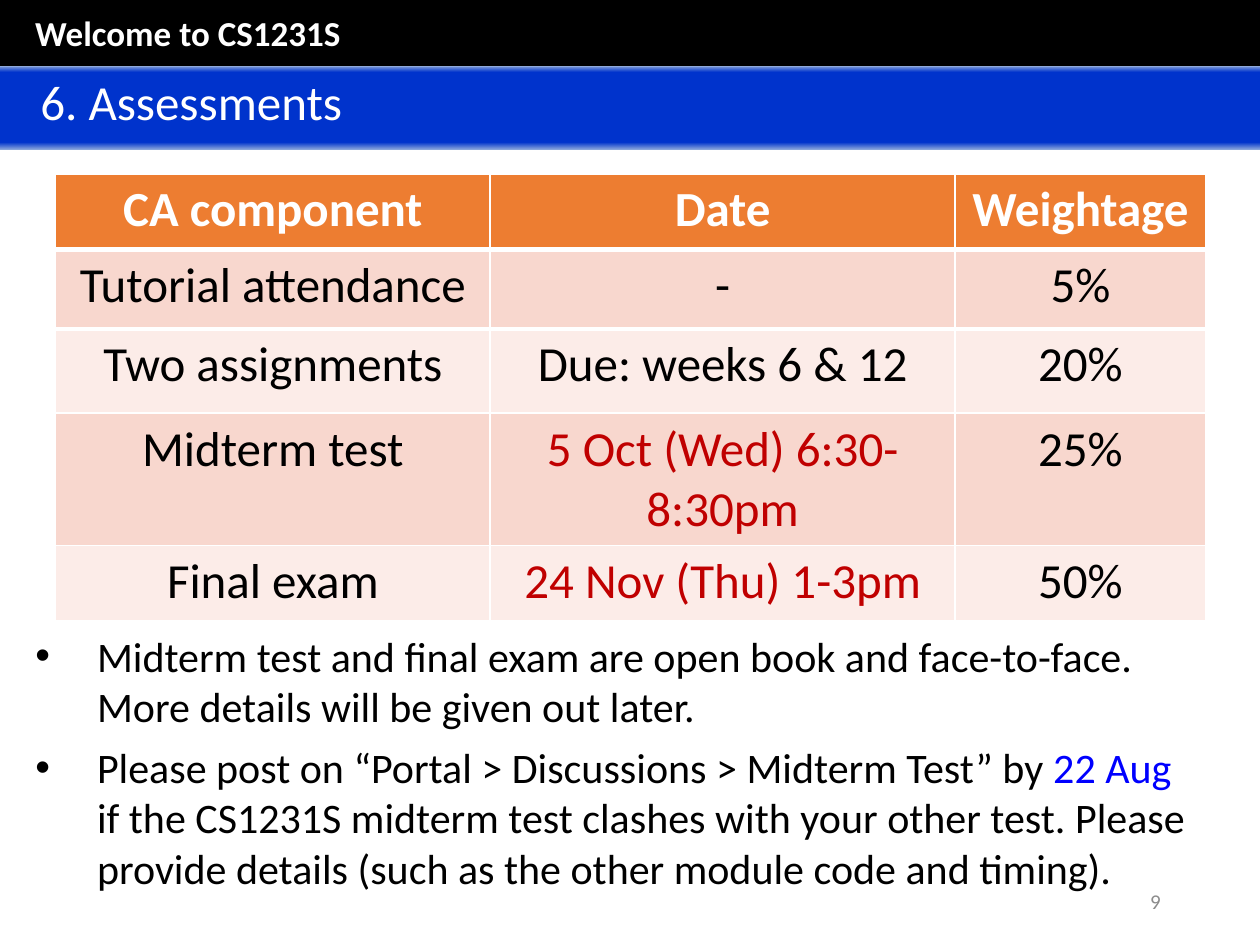
from lxml import etree
from pptx import Presentation
from pptx.dml.color import RGBColor
from pptx.enum.shapes import MSO_SHAPE
from pptx.enum.text import MSO_ANCHOR, MSO_AUTO_SIZE, PP_ALIGN
from pptx.oxml.ns import qn
from pptx.util import Inches, Pt

RECTANGLE = MSO_SHAPE.RECTANGLE
LEFT, CENTER, RIGHT = PP_ALIGN.LEFT, PP_ALIGN.CENTER, PP_ALIGN.RIGHT
TOP, MIDDLE = MSO_ANCHOR.TOP, MSO_ANCHOR.MIDDLE
NO_AUTOFIT = MSO_AUTO_SIZE.NONE

COLORS = {
    "black": "000000", "white": "FFFFFF", "gray": "8C8C8C",
    "band": "0033CC", "band_edge": "8FAADC", "header": "ED7D31",
    "row_dark": "F8D7CE", "row_light": "FCECE8",
    "exam_date": "C00000", "deadline": "0000FF",
}
BAND_STOPS = [(0, "band_edge"), (9, "band"), (92, "band"), (100, "band_edge")]
ASSESSMENTS = [
    ("CA component", "Date", "Weightage"),
    ("Tutorial attendance", "-", "5%"),
    ("Two assignments", "Due: weeks 6 & 12", "20%"),
    ("Midterm test", "5 Oct (Wed) 6:30-8:30pm", "25%"),
    ("Final exam", "24 Nov (Thu) 1-3pm", "50%"),
]
EXAM_ROWS = (3, 4)
NOTES = [
    [("Midterm test and final exam are open book and face-to-face. "
      "More details will be given out later.", "black")],
    [("Please post on “Portal > Discussions > Midterm Test” by ", "black"),
     ("22 Aug", "deadline"),
     (" if the CS1231S midterm test clashes with your other test. Please "
      "provide details (such as the other module code and timing).", "black")],
]


class SlideBuilder:
    """Holds the style and the current slide, and adds each kind of element."""

    def __init__(self, page, font="Calibri"):
        self.page = page
        self.font = font

    def color(self, name):
        return RGBColor.from_string(COLORS[name])

    def style(self, para, size, color, bold=False, align=LEFT):
        para.alignment = align
        para.font.name = self.font
        para.font.size = Pt(size)
        para.font.bold = bold
        para.font.color.rgb = self.color(color)

    def place(self, shape, left, top, width, height):
        shape.left, shape.top = Inches(left), Inches(top)
        shape.width, shape.height = Inches(width), Inches(height)

    def bar(self, left, top, width, height, color):
        box = self.page.shapes.add_shape(
            RECTANGLE, Inches(left), Inches(top), Inches(width), Inches(height))
        box.shadow.inherit = False
        box.fill.solid()
        box.fill.fore_color.rgb = self.color(color)
        box.line.fill.background()

    def label(self, text, left, top, width, height, size, color,
              bold=False, align=LEFT, anchor=TOP):
        box = self.page.shapes.add_textbox(
            Inches(left), Inches(top), Inches(width), Inches(height))
        frame = box.text_frame
        frame.word_wrap = True
        frame.vertical_anchor = anchor
        frame.text = text
        self.style(frame.paragraphs[0], size, color, bold, align)

    def title_band(self, text, left, top, width, height):
        title = self.page.shapes.title
        self.place(title, left, top, width, height)
        self.page.shapes.element.append(title.element)
        title.fill.gradient()
        title.fill.gradient_angle = 90
        stops = title.element.spPr.find(qn("a:gradFill")).find(qn("a:gsLst"))
        for stop in list(stops):
            stops.remove(stop)
        for percent, name in BAND_STOPS:
            stop = etree.SubElement(stops, qn("a:gs"), pos=str(percent * 1000))
            etree.SubElement(stop, qn("a:srgbClr"), val=COLORS[name])
        frame = title.text_frame
        frame.auto_size = NO_AUTOFIT
        frame.vertical_anchor = TOP
        frame.margin_left = Inches(0.32)
        frame.text = text
        self.style(frame.paragraphs[0], 28, "white")

    def border(self, cell, side, width, color):
        properties = cell._tc.get_or_add_tcPr()
        line = etree.Element(qn(side), w=str(Pt(width)))
        fill = etree.SubElement(line, qn("a:solidFill"))
        etree.SubElement(fill, qn("a:srgbClr"), val=COLORS[color])
        properties.insert(0, line)

    def table(self, rows, left, top, widths, heights):
        table = self.page.shapes.add_table(
            len(rows), len(widths), Inches(left), Inches(top),
            Inches(sum(widths)), Inches(sum(heights))).table
        for column, width in zip(table.columns, widths):
            column.width = Inches(width)
        for r, (row, height) in enumerate(zip(rows, heights)):
            table.rows[r].height = Inches(height)
            fill = "header" if r == 0 else "row_dark" if r % 2 else "row_light"
            for c, text in enumerate(row):
                cell = table.cell(r, c)
                cell.fill.solid()
                cell.fill.fore_color.rgb = self.color(fill)
                cell.text = text
                color = "white" if r == 0 else "black"
                if r in EXAM_ROWS and c == 1:
                    color = "exam_date"
                self.style(cell.text_frame.paragraphs[0], 28, color, r == 0, CENTER)
                if r < 2:
                    self.border(cell, "a:lnT" if r else "a:lnB", 3, "white")

    def bullets(self, items, left, top, width, height, indent):
        body = self.page.placeholders[1]
        self.place(body, left, top, width, height)
        frame = body.text_frame
        frame.auto_size = NO_AUTOFIT
        for index, item in enumerate(items):
            para = frame.add_paragraph() if index else frame.paragraphs[0]
            self.style(para, 24, "black")
            para.space_before, para.space_after = Pt(0), Pt(6)
            properties = para._p.get_or_add_pPr()
            properties.set("marL", str(Inches(indent)))
            properties.set("indent", str(-Inches(indent)))
            for text, color in item:
                span = para.add_run()
                span.text = text
                span.font.color.rgb = self.color(color)


def main():
    deck = Presentation()
    deck.slide_width, deck.slide_height = Inches(10), Inches(7.5)
    builder = SlideBuilder(deck.slides.add_slide(deck.slide_layouts[1]))
    builder.bar(0, -0.02, 10, 0.56, "black")
    builder.label("9", 7.06, 6.95, 2.25, 0.4, 12, "gray", align=RIGHT, anchor=MIDDLE)
    builder.label("Welcome to CS1231S", 0.18, 0.04, 3.08, 0.44, 20, "white", bold=True)
    builder.title_band("6. Assessments", 0, 0.52, 10, 0.67)
    builder.table(ASSESSMENTS, 0.44, 1.38, (3.45, 3.69, 1.99),
                  (0.6, 0.63, 0.67, 0.6, 0.6))
    builder.bullets(NOTES, 0.18, 4.95, 9.38, 2.2, 0.49)
    deck.save("out.pptx")


if __name__ == "__main__":
    main()
